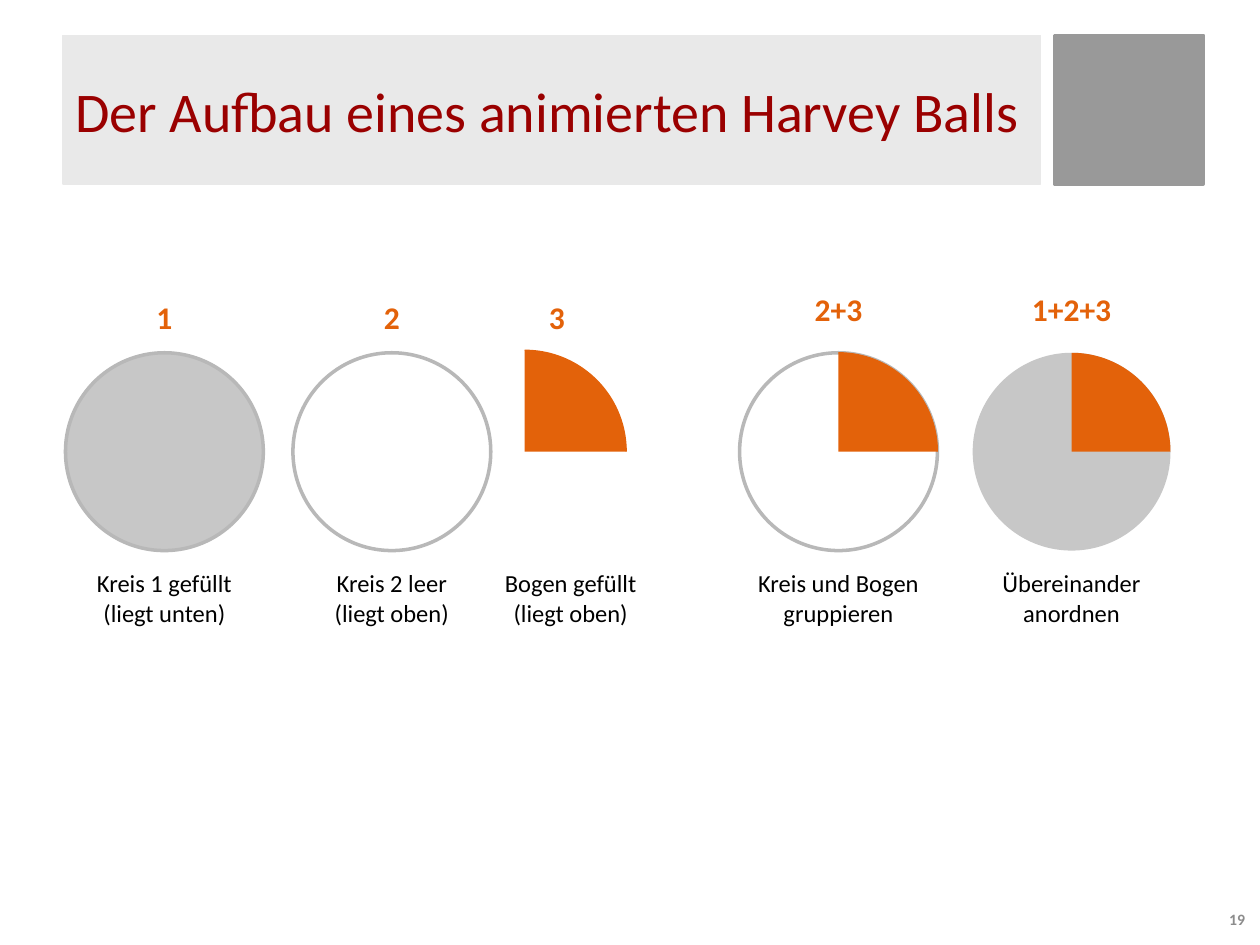
from pptx import Presentation
from pptx.dml.color import RGBColor
from pptx.enum.shapes import MSO_SHAPE
from pptx.enum.text import MSO_ANCHOR, PP_ALIGN
from pptx.util import Emu, Inches, Pt

COLS, ROWS = 100, 75  # square grid cells
CELL = Inches(0.1)
ORANGE, DISC, RING = "E3620A", "C7C7C7", "B8B8B8"


def color(hex_code):
    return RGBColor.from_string(hex_code)


def cells(*lengths):
    return [Emu(round(n * CELL)) for n in lengths]


def add_shape(s, kind, box, fill=None, line=None, width=0.75):
    sp = s.shapes.add_shape(kind, *cells(*box))
    sp.shadow.inherit = False
    if fill:
        sp.fill.solid()
        sp.fill.fore_color.rgb = color(fill)
    else:
        sp.fill.background()
    if line:
        sp.line.color.rgb = color(line)
        sp.line.width = Pt(width)
    else:
        sp.line.fill.background()
    return sp


def write(sp, text, size=14, hex_code="000000", bold=False,
          align=PP_ALIGN.CENTER, anchor=MSO_ANCHOR.TOP, wrap=False):
    tf = sp.text_frame
    tf.word_wrap, tf.vertical_anchor = wrap, anchor
    p = tf.paragraphs[0]
    p.text, p.alignment = text, align
    for r in p.runs:
        r.font.name, r.font.size, r.font.bold = "Calibri", Pt(size), bold
        r.font.color.rgb = color(hex_code)


def add_text(s, box, text, **fmt):
    write(s.shapes.add_textbox(*cells(*box)), text, **fmt)


def header(s, left, top, width, height):
    gap = 1.1
    square = (left + width - height, top, height, height)
    add_shape(s, MSO_SHAPE.RECTANGLE, square, "999999", "999999", 2)
    bar = (left, top, width - height - gap, height)
    title = add_shape(s, MSO_SHAPE.RECTANGLE, bar, "E9E9E9", "E9E9E9")
    write(title, "Der Aufbau eines animierten Harvey Balls", size=32,
          hex_code="9A0000", align=PP_ALIGN.LEFT, anchor=MSO_ANCHOR.MIDDLE, wrap=True)


def ball(s, cx, cy, size, disc=None, ring=None, arc=False, arc_line=ORANGE):
    box = (cx - size / 2, cy - size / 2, size, size)
    if disc or ring:
        add_shape(s, MSO_SHAPE.OVAL, box, disc, ring, 2)
    if arc:
        add_shape(s, MSO_SHAPE.ARC, box, ORANGE, arc_line)


def step(s, left, top, width, height, number, caption, number_shift=0, number_rise=0):
    """Number above and caption below the ball, both centred in the box."""
    add_text(s, (left + number_shift, top - number_rise, width, 4), number,
             size=18, hex_code=ORANGE, bold=True)
    caption_height = 5.7
    add_text(s, (left, top + height - caption_height, width, caption_height), caption)


def build_up(s, top, height):
    middle, size, width = top + 12.65, 15.7, 15.7
    # column centre, ball centre, ball size, ball look, texts, number placing
    steps = [
        (13.05, 13.05, size, dict(disc=DISC, ring=RING),
         ("1", "Kreis 1 gefüllt\n(liegt unten)"), {}),
        (31.1, 31.1, size, dict(ring=RING),
         ("2", "Kreis 2 leer\n(liegt oben)"), {}),
        (45.3, 41.65, 16.1, dict(arc=True),
         ("3", "Bogen gefüllt\n(liegt oben)"), dict(number_shift=-1.1)),
        (66.55, 66.55, size, dict(ring=RING, arc=True),
         ("2+3", "Kreis und Bogen\ngruppieren"), dict(number_rise=0.7)),
        (85.05, 85.05, size, dict(disc=DISC, arc=True, arc_line=None),
         ("1+2+3", "Übereinander\nanordnen"), dict(number_rise=0.7)),
    ]
    for centre, ball_x, ball_size, look, texts, placing in steps:
        ball(s, ball_x, middle, ball_size, **look)
        step(s, centre - width / 2, top, width, height, *texts, **placing)


def page_number(s, left, top, width, height):
    add_text(s, (left, top, width, height), "19", size=9, hex_code="8C8C8C", bold=True,
             align=PP_ALIGN.RIGHT, anchor=MSO_ANCHOR.MIDDLE, wrap=True)


def main():
    prs = Presentation()
    prs.slide_width, prs.slide_height = cells(COLS, ROWS)
    s = prs.slides.add_slide(prs.slide_layouts[6])
    header(s, 5, 2.8, 90.5, 11.8)
    build_up(s, 23.2, 27.1)
    page_number(s, 91.8, 71.4, 8, 3.1)
    prs.save("out.pptx")


if __name__ == "__main__":
    main()
